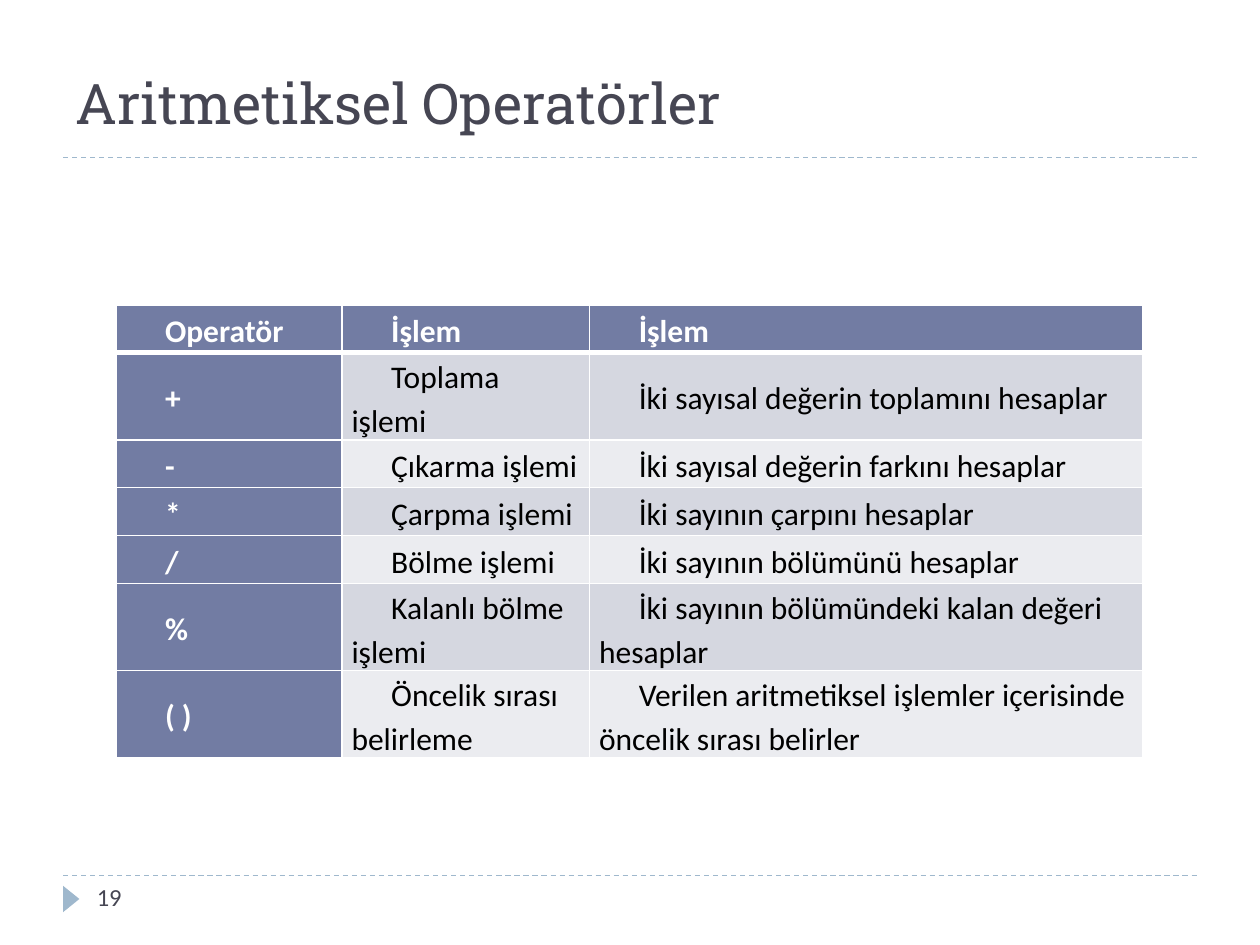
from lxml.etree import SubElement
from pptx import Presentation
from pptx.dml.color import RGBColor
from pptx.enum.dml import MSO_LINE
from pptx.enum.shapes import MSO_CONNECTOR, MSO_SHAPE
from pptx.enum.text import MSO_ANCHOR, PP_ALIGN
from pptx.oxml.ns import qn
from pptx.util import Inches, Pt

INK = RGBColor(0x46, 0x46, 0x53)
ACCENT = RGBColor(0x9F, 0xB8, 0xCD)
HEAD = RGBColor(0x72, 0x7C, 0xA3)
BANDS = [RGBColor(0xEB, 0xEC, 0xF0), RGBColor(0xD5, 0xD7, 0xE0)]
WHITE = RGBColor(0xFF, 0xFF, 0xFF)
BLACK = RGBColor(0, 0, 0)

ROWS = [
    ("Operatör", "İşlem", "İşlem"),
    ("+", "Toplama işlemi", "İki sayısal değerin toplamını hesaplar"),
    ("-", "Çıkarma işlemi", "İki sayısal değerin farkını hesaplar"),
    ("*", "Çarpma işlemi", "İki sayının çarpını hesaplar"),
    ("/", "Bölme işlemi", "İki sayının bölümünü hesaplar"),
    ("%", "Kalanlı bölme işlemi", "İki sayının bölümündeki kalan değeri hesaplar"),
    ("( )", "Öncelik sırası belirleme",
     "Verilen aritmetiksel işlemler içerisinde öncelik sırası belirler"),
]


class Deck:
    body = "Calibri"
    display = "Roboto Slab"
    unit = Inches(0.1)

    def __init__(self):
        self.deck = Presentation()
        self.deck.slide_width = self.grid(100)
        self.deck.slide_height = self.grid(75)
        self.slide = self.deck.slides.add_slide(self.deck.slide_layouts[5])
        self.shapes = self.slide.shapes

    def grid(self, count):
        return round(count * self.unit)

    def box(self, *counts):
        return [self.grid(count) for count in counts]

    def style(self, para, size, color, face=body, bold=False):
        for run in para.runs:
            font = run.font
            font.name, font.size, font.bold = face, Pt(size), bold
            font.color.rgb = color

    def title(self, text, *place):
        shape = self.shapes.title
        shape.left, shape.top, shape.width, shape.height = self.box(*place)
        frame = shape.text_frame
        frame.text = text
        frame.vertical_anchor = MSO_ANCHOR.BOTTOM
        frame.margin_top = frame.margin_bottom = 0
        frame.paragraphs[0].alignment = PP_ALIGN.LEFT
        self.style(frame.paragraphs[0], 32, INK, self.display)

    def rule(self, left, right, row):
        line = self.shapes.add_connector(
            MSO_CONNECTOR.STRAIGHT, *self.box(left, row, right, row))
        line.line.color.rgb = ACCENT
        line.line.width = Pt(0.75)
        line.line.dash_style = MSO_LINE.DASH
        SubElement(line._element.spPr, qn("a:effectLst"))

    def marker(self, *place):
        shape = self.shapes.add_shape(
            MSO_SHAPE.ISOSCELES_TRIANGLE, *self.box(*place))
        shape.rotation = 90
        shape.shadow.inherit = False
        shape.fill.solid()
        shape.fill.fore_color.rgb = ACCENT
        shape.line.fill.background()

    def label(self, text, *place):
        frame = self.shapes.add_textbox(*self.box(*place)).text_frame
        frame.word_wrap = True
        frame.text = text
        self.style(frame.paragraphs[0], 14, INK)

    def border(self, cell, head):
        props = cell._tc.get_or_add_tcPr()
        for index, side in enumerate(("lnL", "lnR", "lnT", "lnB")):
            width = Pt(3 if head and side == "lnB" else 1)
            line = props.makeelement(qn("a:" + side), {"w": str(width)})
            fill = SubElement(line, qn("a:solidFill"))
            SubElement(fill, qn("a:srgbClr"), val=str(WHITE))
            props.insert(index, line)

    def cell(self, cell, text, fill, color, bold, head):
        cell.fill.solid()
        cell.fill.fore_color.rgb = fill
        cell.vertical_anchor = MSO_ANCHOR.MIDDLE
        cell.margin_left, cell.margin_right = self.box(0.75, 0.8)
        cell.margin_top = cell.margin_bottom = 0
        cell.text_frame.text = text
        para = cell.text_frame.paragraphs[0]
        para.line_spacing = 1.15
        props = para._p.get_or_add_pPr()
        props.set("marL", "0")
        props.set("indent", str(self.grid(3.15)))
        self.style(para, 18, color, bold=bold)
        self.border(cell, head)

    def table(self, rows, left, top, widths, height):
        place = self.box(left, top, sum(widths), height * len(rows))
        table = self.shapes.add_table(len(rows), len(widths), *place).table
        table.first_col = True
        for column, width in zip(table.columns, widths):
            column.width = self.grid(width)
        for r, texts in enumerate(rows):
            table.rows[r].height = self.grid(height)
            for c, text in enumerate(texts):
                key = r == 0 or c == 0
                self.cell(table.cell(r, c), text, HEAD if key else BANDS[r % 2],
                          WHITE if key else BLACK, key, r == 0)

    def save(self):
        self.deck.save("out.pptx")


def main():
    deck = Deck()
    for row in (69.5, 12.5):
        deck.rule(5, 95, row)
    deck.marker(4.6, 70.7, 2.1, 1.3)
    deck.title("Aritmetiksel Operatörler", 5, 5, 90, 5.8)
    deck.label("19", 6.7, 69.5, 21.7, 4)
    deck.table(ROWS, 9.2, 24.2, (17.95, 19.65, 43.9), 3.8)
    deck.save()


if __name__ == "__main__":
    main()
